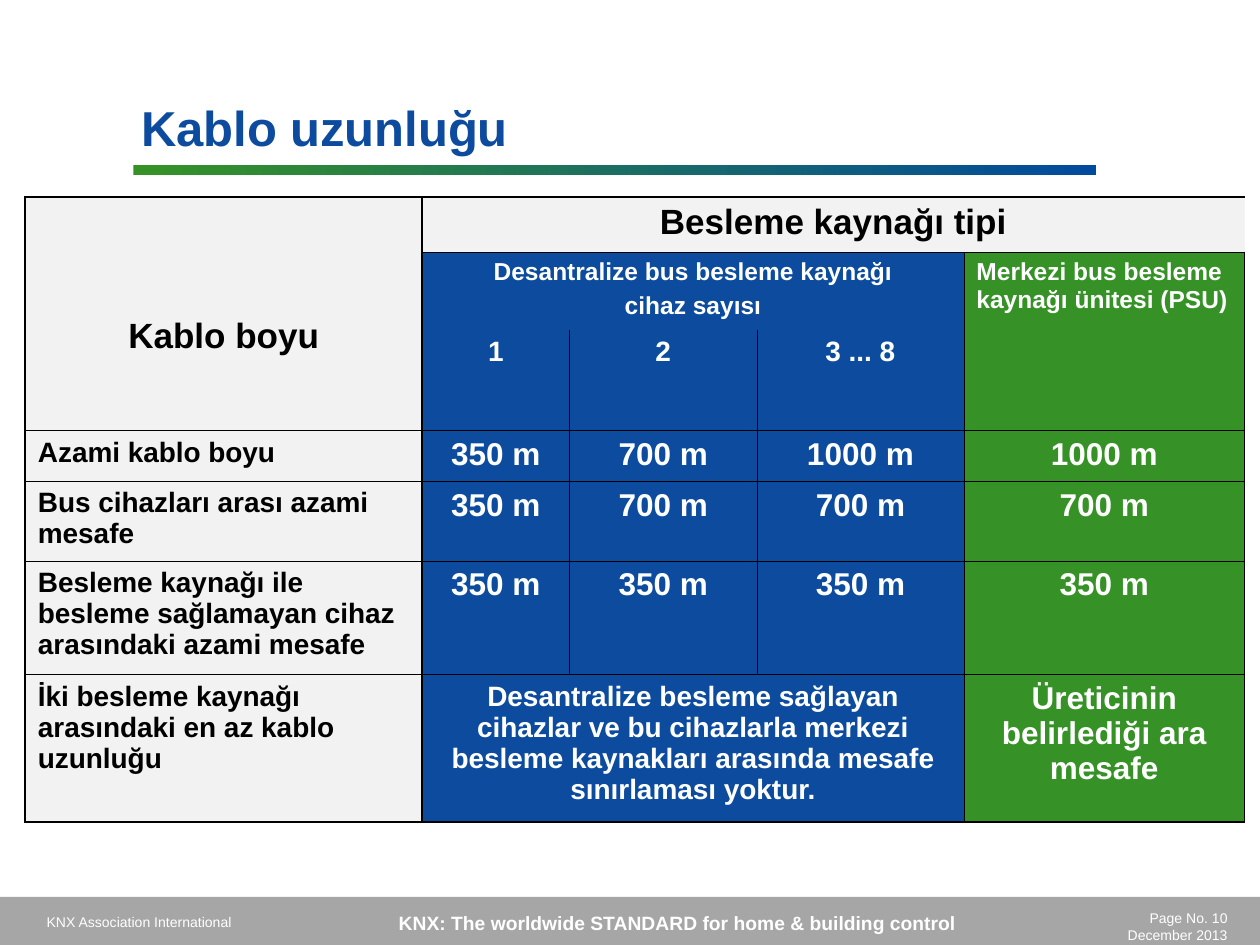
from pptx import Presentation
from pptx.dml.color import RGBColor
from pptx.enum.shapes import MSO_SHAPE
from pptx.enum.text import MSO_ANCHOR, MSO_AUTO_SIZE, PP_ALIGN
from pptx.oxml.ns import qn
from pptx.util import Cm, Pt
from lxml import etree

LEFT, CENTER, RIGHT = PP_ALIGN.LEFT, PP_ALIGN.CENTER, PP_ALIGN.RIGHT
MIDDLE, NO_AUTOFIT = MSO_ANCHOR.MIDDLE, MSO_AUTO_SIZE.NONE
RECTANGLE = MSO_SHAPE.RECTANGLE

BLUE = RGBColor(0x0C, 0x4B, 0x9D)
GREEN = RGBColor(0x36, 0x92, 0x26)
RULE_BLUE = RGBColor(0x01, 0x4B, 0x9D)
PALE = RGBColor(0xF2, 0xF2, 0xF2)
GREY = RGBColor(0xA6, 0xA6, 0xA6)
BLACK = RGBColor(0, 0, 0)
WHITE = RGBColor(0xFF, 0xFF, 0xFF)

THIN, THICK = Pt(0.45), Pt(1.08)


def write(frame, text, size, color, align, bold=True, gap=0):
    """Fill a text frame, one paragraph per line of text, gap points apart."""
    frame.text = text
    frame.word_wrap = True
    font_format = {"name": "Arial", "size": Pt(size), "bold": bold}
    for index, paragraph in enumerate(frame.paragraphs):
        paragraph.alignment = align
        paragraph.space_before = Pt(gap if index else 0)
        for attribute, value in font_format.items():
            setattr(paragraph.font, attribute, value)
        paragraph.font.color.rgb = color


def add_border(cell, side, width):
    """Draw one side of a cell (L, R, T or B); a width of 0 hides it."""
    line = etree.SubElement(cell._tc.get_or_add_tcPr(), qn(f"a:ln{side}"), w=str(int(width)))
    if width:
        fill = etree.SubElement(line, qn("a:solidFill"))
        etree.SubElement(fill, qn("a:srgbClr"), val=str(BLACK))
    else:
        etree.SubElement(line, qn("a:noFill"))


presentation = Presentation()
presentation.slide_width, presentation.slide_height = Cm(25.4), Cm(19.05)
slide = presentation.slides.add_slide(presentation.slide_layouts[5])

# Title and the gradient rule below it
title = slide.shapes.title
title_place = {"left": Cm(2.59), "top": Cm(1.73), "width": Cm(19.41), "height": Cm(1.4)}
for attribute, value in title_place.items():
    setattr(title, attribute, value)
write(title.text_frame, "Kablo uzunluğu", 28, BLUE, LEFT)
title_format = {"vertical_anchor": MIDDLE, "auto_size": NO_AUTOFIT, "margin_top": Cm(0.37)}
for attribute, value in title_format.items():
    setattr(title.text_frame, attribute, value)

title_rule = slide.shapes.add_shape(RECTANGLE, Cm(2.69), Cm(3.33), Cm(19.41), Cm(0.2))
title_rule.fill.gradient()
title_rule.fill.gradient_angle = 0
for stop, color in zip(title_rule.fill.gradient_stops, (GREEN, RULE_BLUE)):
    stop.color.rgb = color

# Footer
footer_band = slide.shapes.add_shape(RECTANGLE, 0, Cm(18.08), Cm(25.4), Cm(0.97))
footer_band.fill.solid()
footer_band.fill.fore_color.rgb = GREY
for bar in (title_rule, footer_band):
    bar.line.fill.background()
    bar.shadow.inherit = False

footer_texts = [
    (0.69, 18.29, 5.79, 0.61, "KNX Association International", 8, LEFT, False),
    (22.1, 18.21, 2.9, 0.84, "Page No. 10\nDecember 2013", 8, RIGHT, False),
    (4.45, 18.24, 18.42, 0.74,
     "KNX: The worldwide STANDARD for home & building control", 11, CENTER, True),
]
for left, top, width, height, text, size, align, bold in footer_texts:
    footer = slide.shapes.add_textbox(Cm(left), Cm(top), Cm(width), Cm(height))
    write(footer.text_frame, text, size, WHITE, align, bold)

# Cable length table
column_widths = [8, 2.97, 3.78, 4.17, 5.66]
row_heights = [1.11, 1.57, 2.03, 1.02, 1.6, 2.29, 2.97]
column_fills = [PALE, BLUE, BLUE, BLUE, GREEN]
row_count, column_count = len(row_heights), len(column_widths)
table = slide.shapes.add_table(
    row_count, column_count, Cm(0.51), Cm(3.97),
    Cm(sum(column_widths)), Cm(sum(row_heights))).table
table.first_row = table.horz_banding = False
for column, width in zip(table.columns, column_widths):
    column.width = Cm(width)
for row, height in zip(table.rows, row_heights):
    row.height = Cm(height)

# Each grid position points to the first cell of its merged block
block = {(r, c): (r, c) for r in range(row_count) for c in range(column_count)}
merges = [(0, 0, 2, 0), (0, 1, 0, 4), (1, 1, 1, 3), (1, 4, 2, 4), (6, 1, 6, 3)]
for first_row, first_column, last_row, last_column in merges:
    table.cell(first_row, first_column).merge(table.cell(last_row, last_column))
    for r in range(first_row, last_row + 1):
        for c in range(first_column, last_column + 1):
            block[r, c] = (first_row, first_column)

neighbours = {"L": (0, -1), "R": (0, 1), "T": (-1, 0), "B": (1, 0)}
for (r, c), start in block.items():
    cell = table.cell(r, c)
    for side, (down, across) in neighbours.items():
        other = (r + down, c + across)
        rows, columns = {r, other[0]}, {c, other[1]}
        open_edge = rows == {1, 2} and 1 <= c <= 3
        if block.get(other) == start or open_edge:
            width = 0
        elif other not in block or rows == {2, 3} or columns == {0, 1}:
            width = THICK
        else:
            width = THIN
        add_border(cell, side, width)
    cell.fill.solid()
    cell.fill.fore_color.rgb = PALE if r == 0 else column_fills[c]

headings = [
    (0, 0, "Kablo boyu", 20, CENTER),
    (0, 1, "Besleme kaynağı tipi", 20, CENTER),
    (1, 1, "Desantralize bus besleme kaynağı\ncihaz sayısı", 14, CENTER),
    (1, 4, "Merkezi bus besleme kaynağı ünitesi (PSU)", 14, LEFT),
    (2, 1, "1", 16, CENTER),
    (2, 2, "2", 16, CENTER),
    (2, 3, "3 ... 8", 16, CENTER),
]
distances = [
    ("Azami kablo boyu", [350, 700, 1000, 1000]),
    ("Bus cihazları arası azami mesafe", [350, 700, 700, 700]),
    ("Besleme kaynağı ile besleme sağlamayan cihaz arasındaki azami mesafe",
     [350, 350, 350, 350]),
]
entries = headings + [
    (6, 0, "İki besleme kaynağı arasındaki en az kablo uzunluğu", 16, LEFT),
    (6, 1, "Desantralize besleme sağlayan cihazlar ve bu cihazlarla merkezi besleme "
           "kaynakları arasında mesafe sınırlaması yoktur.", 16, CENTER),
    (6, 4, "Üreticinin belirlediği ara mesafe", 18, CENTER),
]
for r, (label, metres) in enumerate(distances, start=3):
    entries.append((r, 0, label, 16, LEFT))
    for c, metre in enumerate(metres, start=1):
        entries.append((r, c, f"{metre} m", 18, CENTER))

for r, c, text, size, align in entries:
    color = BLACK if r == 0 or c == 0 else WHITE
    write(table.cell(r, c).text_frame, text, size, color, align, gap=3.5)

cable_heading = table.cell(0, 0)
cable_heading.vertical_anchor = MIDDLE
cable_heading.margin_top = Cm(1.03)

presentation.save("out.pptx")
